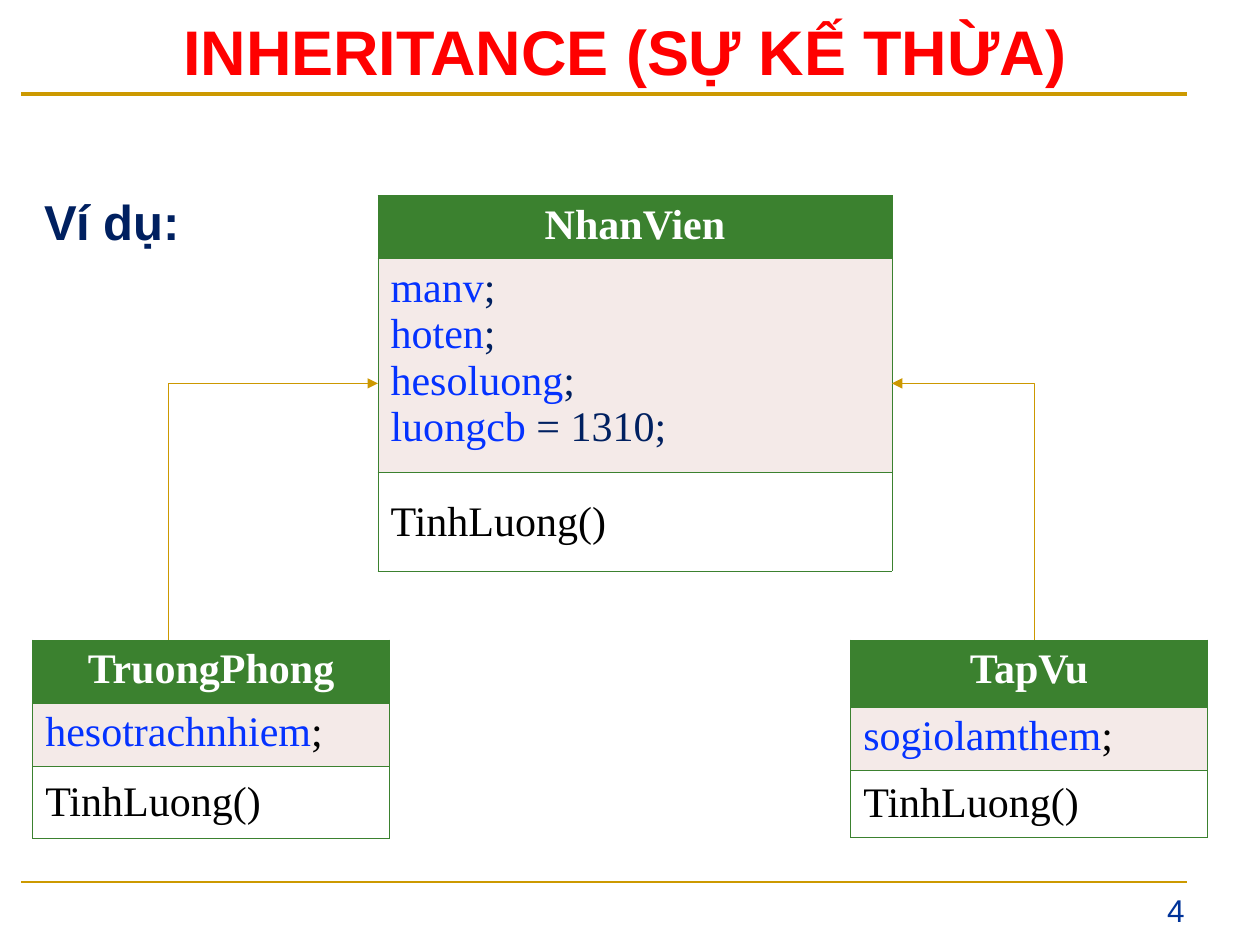
from lxml import etree
from pptx import Presentation
from pptx.dml.color import RGBColor
from pptx.enum.shapes import MSO_CONNECTOR as LINE, MSO_SHAPE
from pptx.enum.text import MSO_ANCHOR as ANCHOR, MSO_AUTO_SIZE as FIT, PP_ALIGN as ALIGN
from pptx.oxml import parse_xml
from pptx.oxml.ns import nsdecls, qn
from pptx.util import Cm, Pt

WHITE = RGBColor(0xFF, 0xFF, 0xFF)
BLACK = RGBColor(0, 0, 0)
RED = RGBColor(0xFF, 0, 0)
NAVY = RGBColor(0, 0x20, 0x60)
PAGE_BLUE = RGBColor(0, 0x33, 0x99)
FIELD_BLUE = RGBColor(0x04, 0x32, 0xFF)
GREEN = RGBColor(0x3B, 0x81, 0x2F)
BLUSH = RGBColor(0xF4, 0xEA, 0xE8)
RULE_GOLD = RGBColor(0xCC, 0x99, 0)
ARROW_GOLD = RGBColor(0xCC, 0x98, 0)


def write(paragraph, text, size=24, font="Times New Roman", color=BLACK, bold=False, align=ALIGN.LEFT):
    paragraph.alignment = align
    run = paragraph.add_run()
    run.text = text
    run.font.size = Pt(size)
    run.font.name = font
    run.font.color.rgb = color
    run.font.bold = bold


def style_line(connector, color, width):
    connector.line.color.rgb = color
    connector.line.width = Pt(width)
    etree.SubElement(connector._element.spPr, qn("a:effectLst"))


prs = Presentation()
prs.slide_width, prs.slide_height = Cm(25.4), Cm(19.05)
slide = prs.slides.add_slide(prs.slide_layouts[5])
shapes = slide.shapes

for y, width in ((17.78, 1.5), (1.9, 2.25)):
    style_line(shapes.add_connector(LINE.STRAIGHT, Cm(0.43), Cm(y), Cm(23.93), Cm(y)), RULE_GOLD, width)

title = shapes.title
title.left, title.top, title.width, title.height = Cm(0), Cm(0), Cm(25.2), Cm(1.78)
example = shapes.add_shape(MSO_SHAPE.RECTANGLE, Cm(0.64), Cm(3.38), Cm(24.13), Cm(1.68))
example.shadow.inherit = False
example.fill.solid()
example.fill.fore_color.rgb = WHITE
example.line.fill.background()
page_number = shapes.add_textbox(Cm(19.48), Cm(17.83), Cm(4.65), Cm(1.02))

for holder, text, size, color, bold, align, inset in (
    (title, "INHERITANCE (SỰ KẾ THỪA)", 36, RED, True, ALIGN.CENTER, 0.25),
    (example, "Ví dụ:", 28, NAVY, True, ALIGN.JUSTIFY, 0.25),
    (page_number, "4", 18, PAGE_BLUE, False, ALIGN.RIGHT, 0.13),
):
    frame = holder.text_frame
    frame.word_wrap = True
    frame.auto_size = FIT.NONE
    frame.vertical_anchor = ANCHOR.TOP
    frame.margin_top = Cm(inset)
    write(frame.paragraphs[0], text, size=size, font="Arial", color=color, bold=bold, align=align)
example.text_frame.paragraphs[0].line_spacing = 1.2

classes = (
    ("NhanVien", 7.62, 3.94, 10.36, (1.27, 4.32, 1.98), NAVY,
     (("manv", ";"), ("hoten", ";"), ("hesoluong", ";"), ("luongcb", " = 1310;"))),
    ("TruongPhong", 0.66, 12.9, 7.19, (1.27, 1.27, 1.47), BLACK, (("hesotrachnhiem", ";"),)),
    ("TapVu", 17.15, 12.9, 7.19, (1.35, 1.27, 1.35), BLACK, (("sogiolamthem", ";"),)),
)
for name, left, top, width, heights, ending_color, fields in classes:
    table = shapes.add_table(3, 1, Cm(left), Cm(top), Cm(width), Cm(sum(heights))).table
    for row, height in zip(table.rows, heights):
        row.height = Cm(height)
    name_cell, field_cell, method_cell = cells = [table.cell(i, 0) for i in range(3)]
    write(name_cell.text_frame.paragraphs[0], name, color=WHITE, bold=True, align=ALIGN.CENTER)
    for i, (field, ending) in enumerate(fields):
        frame = field_cell.text_frame
        paragraph = frame.add_paragraph() if i else frame.paragraphs[0]
        write(paragraph, field, color=FIELD_BLUE)
        write(paragraph, ending, color=ending_color)
    write(method_cell.text_frame.paragraphs[0], "TinhLuong()")
    method_cell.vertical_anchor = ANCHOR.MIDDLE
    for cell, fill in zip(cells, (GREEN, BLUSH, WHITE)):
        properties = cell._tc.get_or_add_tcPr()
        for side in ("lnL", "lnR", "lnT", "lnB"):
            properties.append(parse_xml(
                f'<a:{side} {nsdecls("a")} w="{Pt(0.45)}"><a:solidFill>'
                f'<a:srgbClr val="{GREEN}"/></a:solidFill></a:{side}>'))
        cell.fill.solid()
        cell.fill.fore_color.rgb = fill

child_top, parent_middle = 12.9, 7.73
rise = child_top - parent_middle
for child_x, parent_x, rotation, flips in (
    (3.4, 7.62, 90, ("flipH", "flipV")),
    (20.85, 17.98, 270, ("flipV",)),
):
    run_length = abs(parent_x - child_x)
    left = (child_x + parent_x - rise) / 2
    top = (child_top + parent_middle - run_length) / 2
    arrow = shapes.add_connector(LINE.ELBOW, Cm(left), Cm(top), Cm(left + rise), Cm(top + run_length))
    properties = arrow._element.spPr
    properties.find(qn("a:prstGeom")).set("prst", "bentConnector2")
    frame = properties.find(qn("a:xfrm"))
    frame.set("rot", str(rotation * 60000))
    for flip in flips:
        frame.set(flip, "1")
    style_line(arrow, ARROW_GOLD, 0.75)
    etree.SubElement(arrow.line._get_or_add_ln(), qn("a:tailEnd"), type="triangle")

prs.save("out.pptx")
